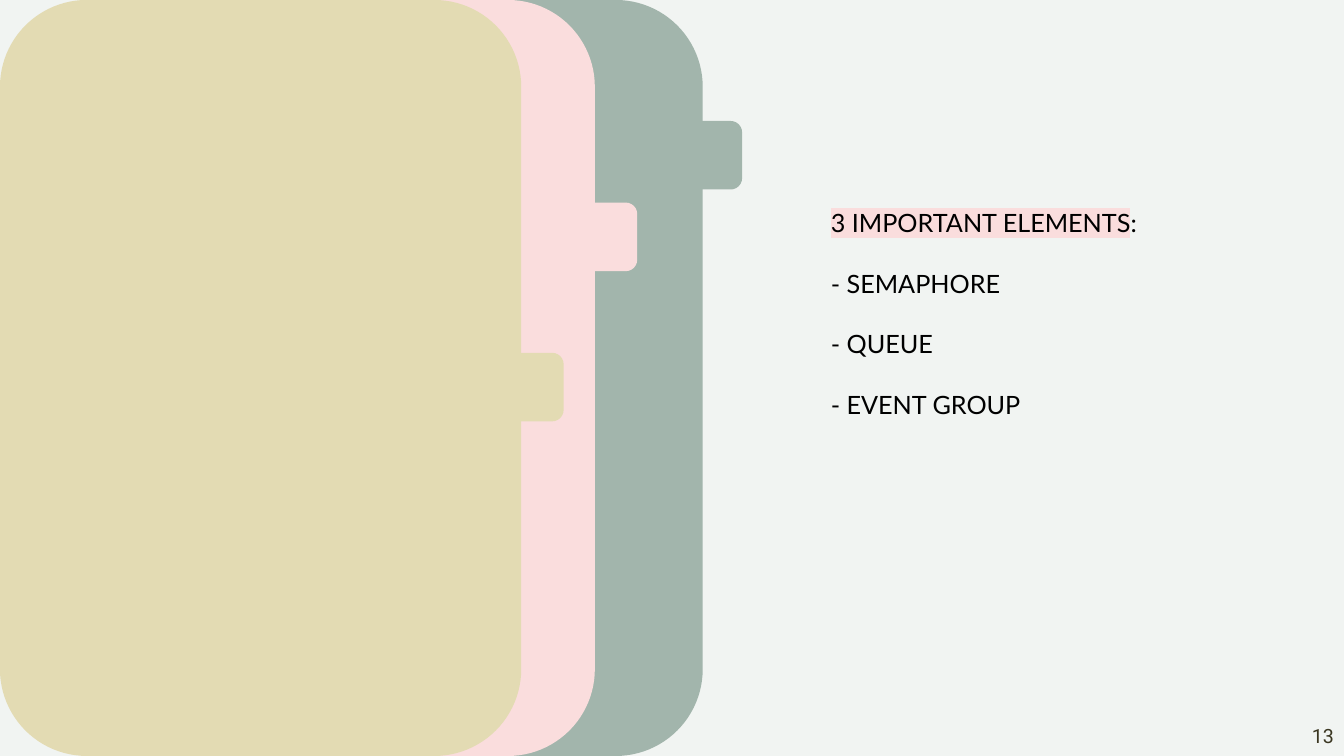
"""Build the slide listing three important elements beside stacked folder tabs."""
from dataclasses import dataclass

from lxml.etree import SubElement
from pptx import Presentation
from pptx.dml.color import RGBColor
from pptx.enum.shapes import MSO_SHAPE
from pptx.enum.text import MSO_ANCHOR, MSO_AUTO_SIZE, PP_ALIGN
from pptx.oxml.ns import qn
from pptx.shapes.base import BaseShape
from pptx.shapes.group import GroupShape
from pptx.slide import Slide
from pptx.text.text import TextFrame, _Paragraph, _Run
from pptx.util import Inches, Pt

BACKGROUND = RGBColor(0xF1, 0xF4, 0xF2)
SAGE = RGBColor(0xA2, 0xB5, 0xAC)
PINK = RGBColor(0xFA, 0xDD, 0xDD)
SAND = RGBColor(0xE3, 0xDB, 0xB3)
BLACK = RGBColor(0x00, 0x00, 0x00)
OLIVE = RGBColor(0x3A, 0x36, 0x21)


@dataclass(frozen=True)
class Box:
    left: float
    top: float
    width: float
    height: float


@dataclass(frozen=True)
class Folder:
    color: RGBColor
    left: float
    tab_left: float
    tab_top: float


FOLDERS = (
    Folder(SAGE, 1.8, 6.67, 1.2),
    Folder(PINK, 0.73, 5.63, 2.01),
    Folder(SAND, 0, 4.9, 3.5),
)
ELEMENTS = ("- SEMAPHORE", "- QUEUE", "- EVENT GROUP")
TITLE_BOX = Box(8.14, 2.01, 4.15, 0.4)
LIST_BOX = Box(8.14, 2.61, 4.15, 1.62)
NUMBER_BOX = Box(12.76, 7.1, 0.57, 0.4)


def add_rounded_panel(group: GroupShape, box: Box, color: RGBColor) -> None:
    """Add one borderless rounded rectangle to a folder group."""
    panel = group.shapes.add_shape(
        MSO_SHAPE.ROUNDED_RECTANGLE,
        Inches(box.left), Inches(box.top), Inches(box.width), Inches(box.height),
    )
    panel.shadow.inherit = False
    panel.fill.solid()
    panel.fill.fore_color.rgb = color
    panel.line.fill.background()


def add_folder(slide: Slide, folder: Folder) -> None:
    """Add a folder sheet together with its index tab."""
    group = slide.shapes.add_group_shape()
    add_rounded_panel(group, Box(folder.left, 0, 5.17, 7.5), folder.color)
    add_rounded_panel(group, Box(folder.tab_left, folder.tab_top, 0.69, 0.68), folder.color)


def prepare_text(shape: BaseShape, box: Box, anchor: MSO_ANCHOR) -> TextFrame:
    """Place a text shape and return its wrapped text frame."""
    shape.left, shape.top = Inches(box.left), Inches(box.top)
    shape.width, shape.height = Inches(box.width), Inches(box.height)
    frame = shape.text_frame
    frame.word_wrap = True
    frame.auto_size = MSO_AUTO_SIZE.NONE
    frame.vertical_anchor = anchor
    return frame


def add_run(paragraph: _Paragraph, text: str, font_name: str = "Lato",
            size: int = 18, color: RGBColor = BLACK) -> _Run:
    """Append a formatted run to a paragraph."""
    run = paragraph.add_run()
    run.text = text
    run.font.name = font_name
    run.font.size = Pt(size)
    run.font.color.rgb = color
    return run


def highlight(run: _Run, color: RGBColor) -> None:
    """Mark a colored run with a highlight behind its text."""
    properties = run.font._element
    mark = SubElement(properties, qn("a:highlight"))
    SubElement(mark, qn("a:srgbClr"), val=str(color))
    properties.find(qn("a:solidFill")).addnext(mark)


def add_title(slide: Slide) -> None:
    """Fill the title placeholder with the highlighted heading."""
    frame = prepare_text(slide.shapes.title, TITLE_BOX, MSO_ANCHOR.TOP)
    paragraph = frame.paragraphs[0]
    paragraph.alignment = PP_ALIGN.LEFT
    highlight(add_run(paragraph, "3 IMPORTANT ELEMENTS"), PINK)
    add_run(paragraph, ":")


def add_element_list(slide: Slide) -> None:
    """Fill the body placeholder with the element names."""
    frame = prepare_text(slide.placeholders[1], LIST_BOX, MSO_ANCHOR.TOP)
    for index, element in enumerate(ELEMENTS):
        paragraph = frame.add_paragraph() if index else frame.paragraphs[0]
        properties = paragraph._p.get_or_add_pPr()
        properties.set("marL", "0")
        properties.set("indent", "0")
        SubElement(properties, qn("a:buNone"))
        paragraph.alignment = PP_ALIGN.LEFT
        paragraph.space_before = Pt(21.6 if index else 0)
        add_run(paragraph, element)


def add_slide_number(slide: Slide) -> None:
    """Add the page number in the lower right corner."""
    text_box = slide.shapes.add_textbox(0, 0, 0, 0)
    frame = prepare_text(text_box, NUMBER_BOX, MSO_ANCHOR.MIDDLE)
    paragraph = frame.paragraphs[0]
    paragraph.alignment = PP_ALIGN.RIGHT
    add_run(paragraph, "13", "Roboto", 14, OLIVE)


def main() -> None:
    """Create and save the presentation."""
    presentation = Presentation()
    presentation.slide_width = Inches(13.33)
    presentation.slide_height = Inches(7.5)
    slide = presentation.slides.add_slide(presentation.slide_layouts[1])
    slide.background.fill.solid()
    slide.background.fill.fore_color.rgb = BACKGROUND
    for folder in FOLDERS:
        add_folder(slide, folder)
    add_title(slide)
    add_element_list(slide)
    add_slide_number(slide)
    presentation.save("out.pptx")


if __name__ == "__main__":
    main()
